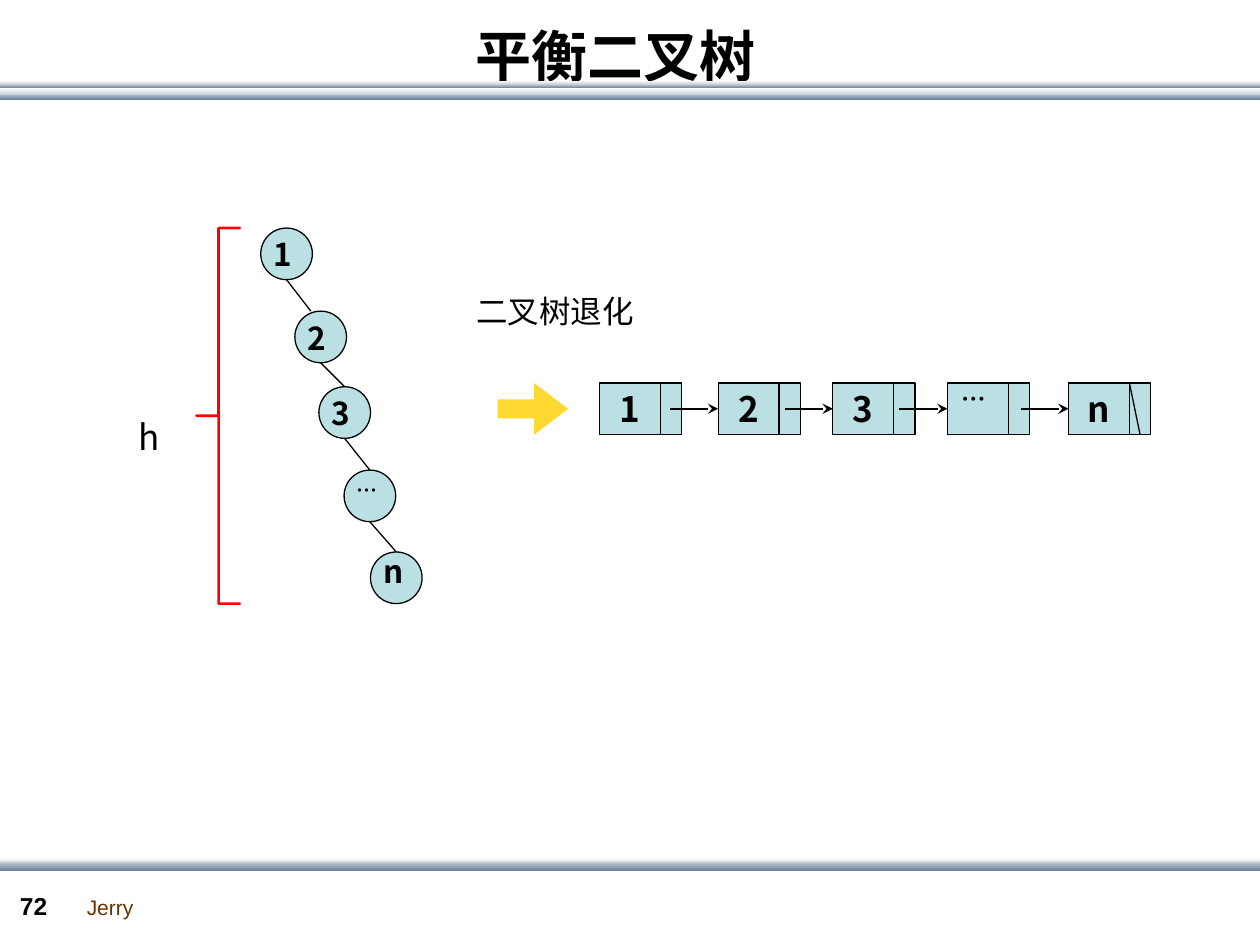
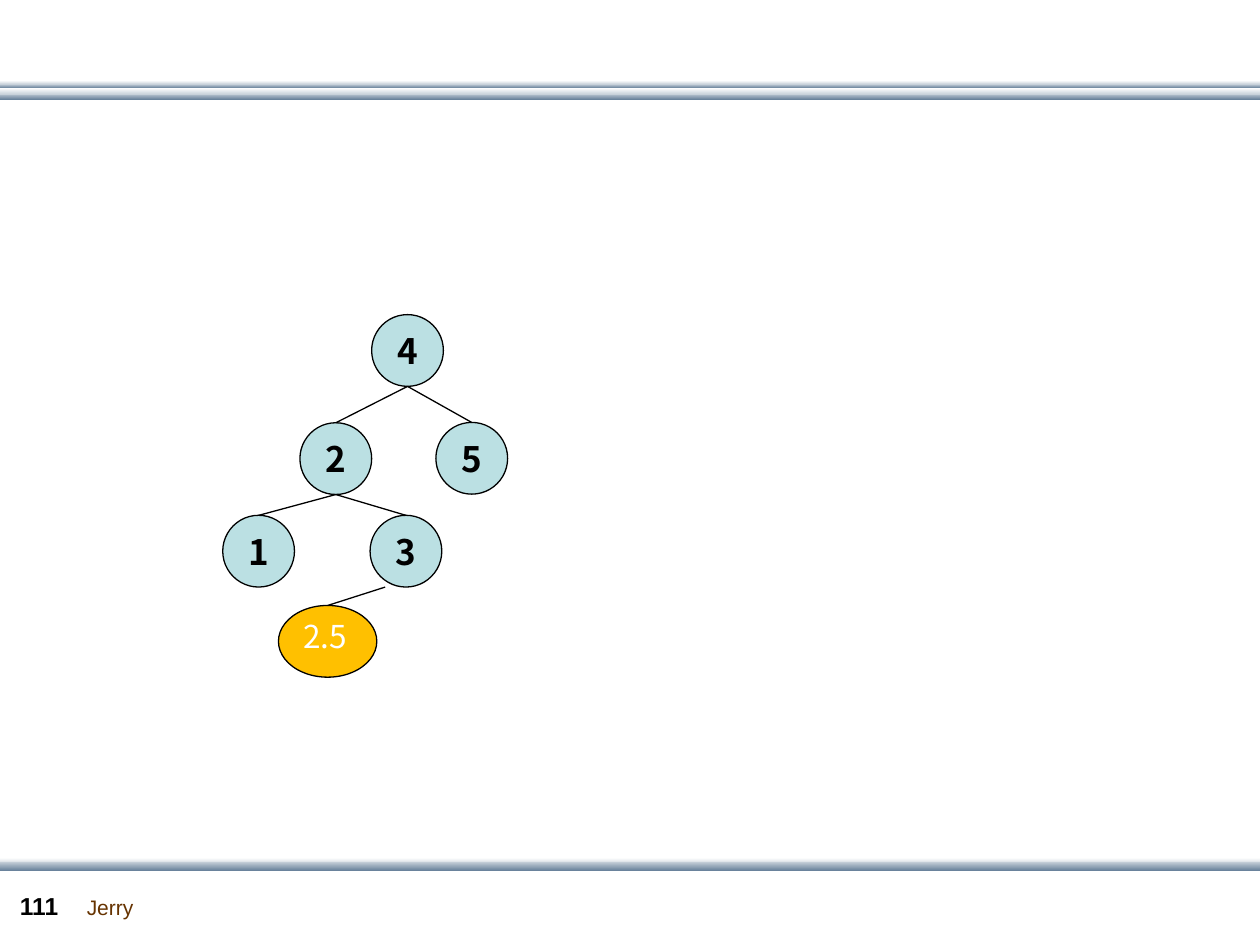
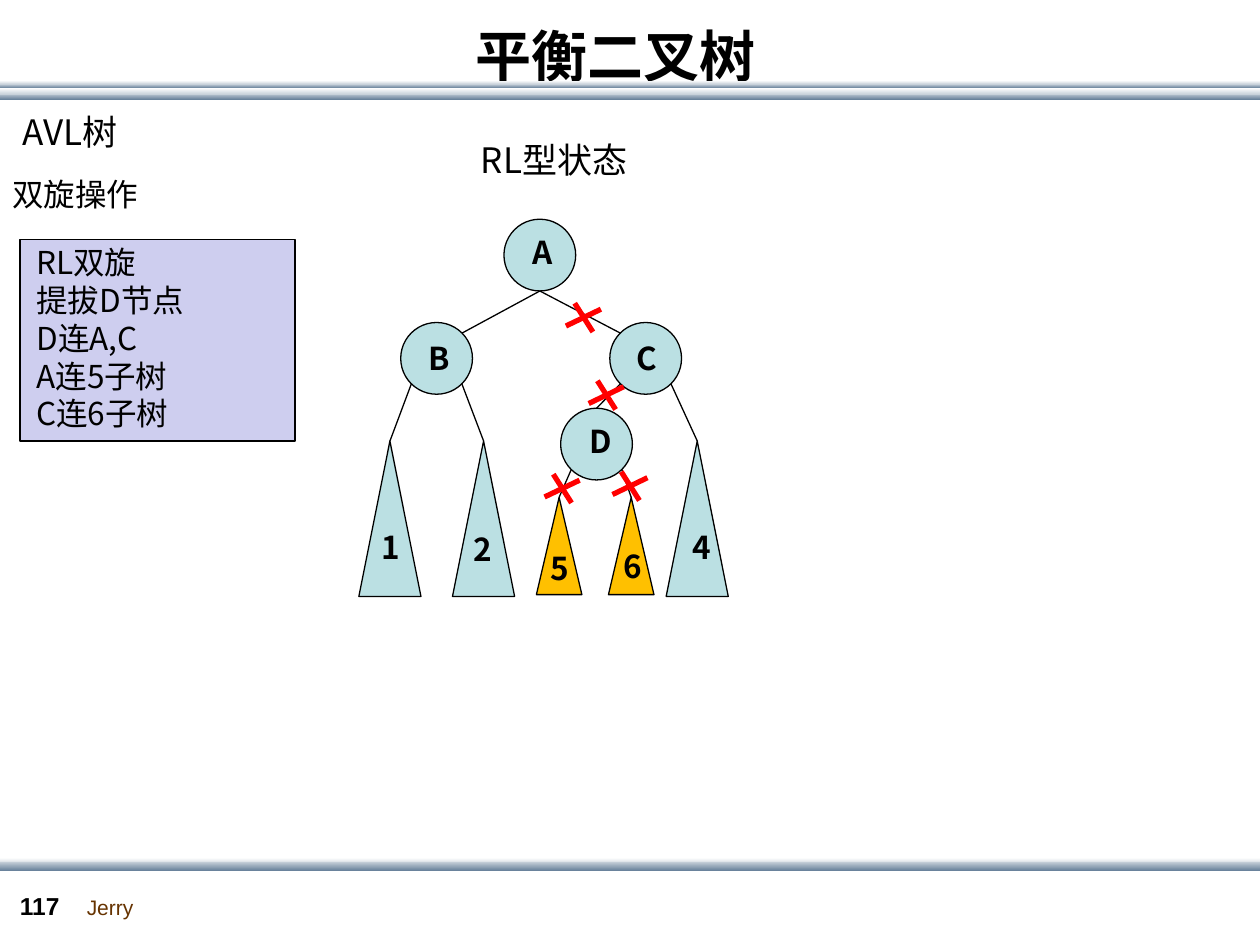
from lxml import etree
from pptx import Presentation
from pptx.dml.color import RGBColor
from pptx.enum.shapes import MSO_CONNECTOR, MSO_SHAPE
from pptx.enum.text import MSO_ANCHOR, PP_ALIGN
from pptx.oxml.ns import qn
from pptx.util import Pt

RECT, OVAL, TRIANGLE = MSO_SHAPE.RECTANGLE, MSO_SHAPE.OVAL, MSO_SHAPE.ISOSCELES_TRIANGLE
BRACE, ARROW = MSO_SHAPE.LEFT_BRACE, MSO_SHAPE.RIGHT_ARROW
STRAIGHT = MSO_CONNECTOR.STRAIGHT
LEFT, CENTER = PP_ALIGN.LEFT, PP_ALIGN.CENTER
ANCHOR_TOP, ANCHOR_MIDDLE = MSO_ANCHOR.TOP, MSO_ANCHOR.MIDDLE

# Shared style
CJK, LATIN = "Noto Sans CJK SC", "Arial"
BLACK, WHITE, RED, BROWN = "000000", "FFFFFF", "FF0000", "663300"
TEAL, AMBER, YELLOW, LILAC = "BBE0E3", "FFC000", "FFD831", "CECEEF"
PALE, STEEL = "C8D1DA", "6A839C"
TITLE, AUTHOR = "平衡二叉树", "Jerry"

# Bands: top, height, upper colour, lower colour
BANDS = [
    (53.3, 3.6, PALE, STEEL), (48.2, 2.2, PALE, STEEL),
    (50.4, 3.6, WHITE, PALE), (46.1, 2.2, WHITE, PALE),
    (490.3, 3.6, WHITE, PALE), (492.5, 5, PALE, STEEL),
]

# Points on a node, as fractions of its width and height
TOP, BOTTOM = (0.5, 0), (0.5, 1)
BL, BR, TL, TR = (0.15, 0.85), (0.85, 0.85), (0.15, 0.15), (0.85, 0.15)

# Slide 1: degenerate tree and its linked list
CHAIN_D = 29.5
CHAIN = {"1": (149, 130.3), "2": (168.5, 177.8), "3": (182.2, 221),
         "…": (196.6, 268.6), "n": (211.7, 315.4)}
CHAIN_LABELS = {"1": (152.6, 131), "2": (172.1, 178.6), "3": (185.8, 221.8),
                "n": (215.3, 311.8)}
CHAIN_EDGES = [("1", BOTTOM, "2", (0.31, 0)), ("2", BOTTOM, "3", TOP),
               ("3", BOTTOM, "…", TOP), ("…", BOTTOM, "n", TOP)]
CELLS = [("1", 342.7), ("2", 410.4), ("3", 475.9), ("…", 541.4), ("n", 610.6)]
CELL_Y, CELL_H, DATA_W, LINK_W, LINK_ARROW = 218.9, 29.5, 34.8, 12.2, 27.4

# Slide 2: search tree with an inserted node
NODE_D = 41
TREE = {"4": (212.4, 179.8), "2": (171.4, 241.6), "5": (249.1, 241.4),
        "1": (127.3, 294.5), "3": (211.5, 294.5)}
INSERTED = ("2.5", 159.1, 346)
TREE_EDGES = [("4", BOTTOM, "2", TOP), ("4", BOTTOM, "5", TOP), ("2", BOTTOM, "1", TOP),
              ("2", BOTTOM, "3", TOP), ("3", (0.21, 1), "2.5", TOP)]

# Slide 3: RL state, each part with its label position
AVL_NODES = {"A": (288, 125.3, 297.4, 129.6), "B": (229, 184.3, 237.6, 190.1),
             "C": (348.5, 184.3, 356.4, 190.1), "D": (320.4, 233.3, 329.8, 237.6)}
BIG, SMALL = (35.5, 88.8, TEAL, 22.3), (26, 55.6, AMBER, 15.8)
SUBTREES = {"1": (205.1, 252, BIG, 211, 298.1), "2": (258.6, 252, BIG, 263.5, 299.2),
            "5": (306.5, 284.2, SMALL, 307.4, 310.3),
            "6": (347.7, 284.2, SMALL, 349.2, 308.9),
            "4": (380.7, 252, BIG, 388.8, 298.1)}
AVL_EDGES = [("A", BOTTOM, "B", TR), ("A", BOTTOM, "C", TL), ("B", BL, "1", TOP),
             ("B", BR, "2", TOP), ("C", BL, "D", TOP), ("C", BR, "4", TOP),
             ("D", BL, "5", TOP), ("D", BR, "6", TOP)]
CUTS = [(321.2, 279.2), (360, 277.8), (346.4, 225.8), (333.4, 181.5)]
CUT_STROKES = [(10, -4.8, -10, 4.8), (-5, -8.2, 5.4, 8.2)]
STEPS = ["RL双旋", "提拔D节点", "D连A,C", "A连5子树", "C连6子树"]
HEADINGS = [("AVL树", 5.8, 59.8, 77, 20), ("双旋操作", 0, 96.5, 100.8, 18),
            ("RL型状态", 267.8, 75.6, 100.8, 20)]


def rgb(color):
    return RGBColor.from_string(color)


def write(shape, text, size=18, font=CJK, color=BLACK, bold=False, align=LEFT,
          anchor=ANCHOR_TOP, wrap=True, insets=(7.2, 7.2)):
    """Fill a shape with one paragraph, or one for each item of a list."""
    tf = shape.text_frame
    tf.word_wrap, tf.vertical_anchor = wrap, anchor
    tf.margin_left, tf.margin_right = (Pt(v) for v in insets)
    tf.margin_top = tf.margin_bottom = Pt(3.6)
    for i, line in enumerate([text] if isinstance(text, str) else text):
        p = tf.add_paragraph() if i else tf.paragraphs[0]
        p.alignment, p.line_spacing = align, Pt(size * 1.2)
        p.space_before = Pt(0)
        r = p.add_run()
        r.text = line
        r.font.name, r.font.size, r.font.bold = font, Pt(size), bold
        r.font.color.rgb = rgb(color)
        etree.SubElement(r.font._element, qn("a:ea"), typeface=font)


def label(s, text, x, y, w, h=28.8, **fmt):
    write(s.shapes.add_textbox(Pt(x), Pt(y), Pt(w), Pt(h)), text, **fmt)


def shape(s, kind, x, y, w, h, fill=TEAL, line=BLACK, weight=0.75):
    sp = s.shapes.add_shape(kind, Pt(x), Pt(y), Pt(w), Pt(h))
    sp.shadow.inherit = False
    if fill:
        sp.fill.solid()
        sp.fill.fore_color.rgb = rgb(fill)
    else:
        sp.fill.background()
    if line:
        sp.line.color.rgb, sp.line.width = rgb(line), Pt(weight)
    else:
        sp.line.fill.background()
    return sp


def connect(s, x1, y1, x2, y2, color=BLACK, weight=0.75, head=None):
    c = s.shapes.add_connector(STRAIGHT, Pt(x1), Pt(y1), Pt(x2), Pt(y2))
    c.line.color.rgb, c.line.width = rgb(color), Pt(weight)
    if head:
        etree.SubElement(c.line._get_or_add_ln(), qn("a:tailEnd"), type=head)
    etree.SubElement(c._element.spPr, qn("a:effectLst"))


def site(sp, spot):
    return ((sp.left + sp.width * spot[0]) / Pt(1), (sp.top + sp.height * spot[1]) / Pt(1))


def join(s, nodes, edges):
    for parent, start, child, end in edges:
        connect(s, *site(nodes[parent], start), *site(nodes[child], end))


def new_slide(prs, number, title=None):
    s = prs.slides.add_slide(prs.slide_layouts[5 if title else 6])
    for y, h, upper, lower in BANDS:
        band = shape(s, RECT, 0, y, 720, h, line=None)
        band.fill.gradient()
        band.fill.gradient_angle = 270
        for stop, color in zip(band.fill.gradient_stops, (upper, lower)):
            stop.color.rgb = rgb(color)
        band.fill.gradient_stops[0].position = 0
        band.fill.gradient_stops[1].position = 1
    label(s, AUTHOR, 42.5, 507.6, 41.8, 21.6, size=12, font=LATIN, color=BROWN, wrap=False)
    label(s, number, 4.3, 505.4, 39.6, 23.8, size=14, font=LATIN, bold=True)
    if title:
        t = s.shapes.title
        t.left, t.top, t.width, t.height = Pt(28), Pt(-13.7), Pt(648), Pt(90)
        write(t, title, size=32, bold=True, align=CENTER, anchor=ANCHOR_MIDDLE)
    return s


def degenerate_slide(prs):
    s = new_slide(prs, "72", TITLE)
    # Tree chain and its height
    brace = shape(s, BRACE, 112.3, 130.3, 25.2, 214.6, None, RED, 1.5)
    brace.adjustments[0], brace.adjustments[1] = 0, 0.5
    label(s, "h", 72, 234, 27.4, 31.7, size=20)
    nodes = {k: shape(s, OVAL, x, y, CHAIN_D, CHAIN_D) for k, (x, y) in CHAIN.items()}
    join(s, nodes, CHAIN_EDGES)
    for text, (x, y) in CHAIN_LABELS.items():
        label(s, text, x, y, 15, bold=True, insets=(3.6, 0))
    label(s, "…", 196.6, 269.3, 38.2, 21.6, size=12, bold=True)
    # Linked list
    label(s, "二叉树退化", 265, 163.4, 107.3)
    arrow = shape(s, ARROW, 284.4, 218.9, 40.3, 29.5, YELLOW, None)
    arrow.adjustments[0], arrow.adjustments[1] = 0.37, 0.66
    for text, x in CELLS:
        cell = shape(s, RECT, x, CELL_Y, DATA_W, CELL_H)
        shape(s, RECT, x + DATA_W, CELL_Y, LINK_W, CELL_H)
        if text == "…":
            label(s, text, x + 0.8, 216, 54, 24.5, size=14, bold=True)
        else:
            write(cell, text, size=20, bold=True, align=CENTER, anchor=ANCHOR_MIDDLE)
    for _, x in CELLS[1:]:
        connect(s, x - LINK_ARROW, 233.6, x, 233.6, weight=1, head="stealth")
    end = CELLS[-1][1] + DATA_W
    connect(s, end, CELL_Y, end + LINK_W / 2, CELL_Y + CELL_H)


def insertion_slide(prs):
    s = new_slide(prs, "111")
    nodes = {}
    for text, (x, y) in TREE.items():
        nodes[text] = shape(s, OVAL, x, y, NODE_D, NODE_D)
        write(nodes[text], text, size=20, bold=True, align=CENTER, anchor=ANCHOR_MIDDLE)
    text, x, y = INSERTED
    nodes[text] = shape(s, OVAL, x, y, 56.2, NODE_D, AMBER)
    label(s, text, x + 7.2, y + 3.2, 59.8, color=WHITE)
    join(s, nodes, TREE_EDGES)


def rotation_slide(prs):
    s = new_slide(prs, "117", TITLE)
    for text, x, y, w, size in HEADINGS:
        label(s, text, x, y, w, size=size)
    # Steps
    shape(s, RECT, 11.5, 136.8, 157, 115.2, LILAC)
    label(s, STEPS, 13.7, 135.4, 152.6, 116.6)
    # Tree
    nodes = {}
    for text, (x, y, label_x, label_y) in AVL_NODES.items():
        nodes[text] = shape(s, OVAL, x, y, NODE_D, NODE_D)
        label(s, text, label_x, label_y, 23, bold=True)
    for text, (x, y, (w, h, fill, label_w), label_x, label_y) in SUBTREES.items():
        nodes[text] = shape(s, TRIANGLE, x, y, w, h, fill)
        label(s, text, label_x, label_y, label_w, bold=True)
    join(s, nodes, AVL_EDGES)
    # Cut edges
    for x, y in CUTS:
        for x1, y1, x2, y2 in CUT_STROKES:
            connect(s, x + x1, y + y1, x + x2, y + y2, RED, 3)


def main():
    prs = Presentation()
    prs.slide_width, prs.slide_height = Pt(720), Pt(540)
    degenerate_slide(prs)
    insertion_slide(prs)
    rotation_slide(prs)
    prs.save("out.pptx")


if __name__ == "__main__":
    main()
